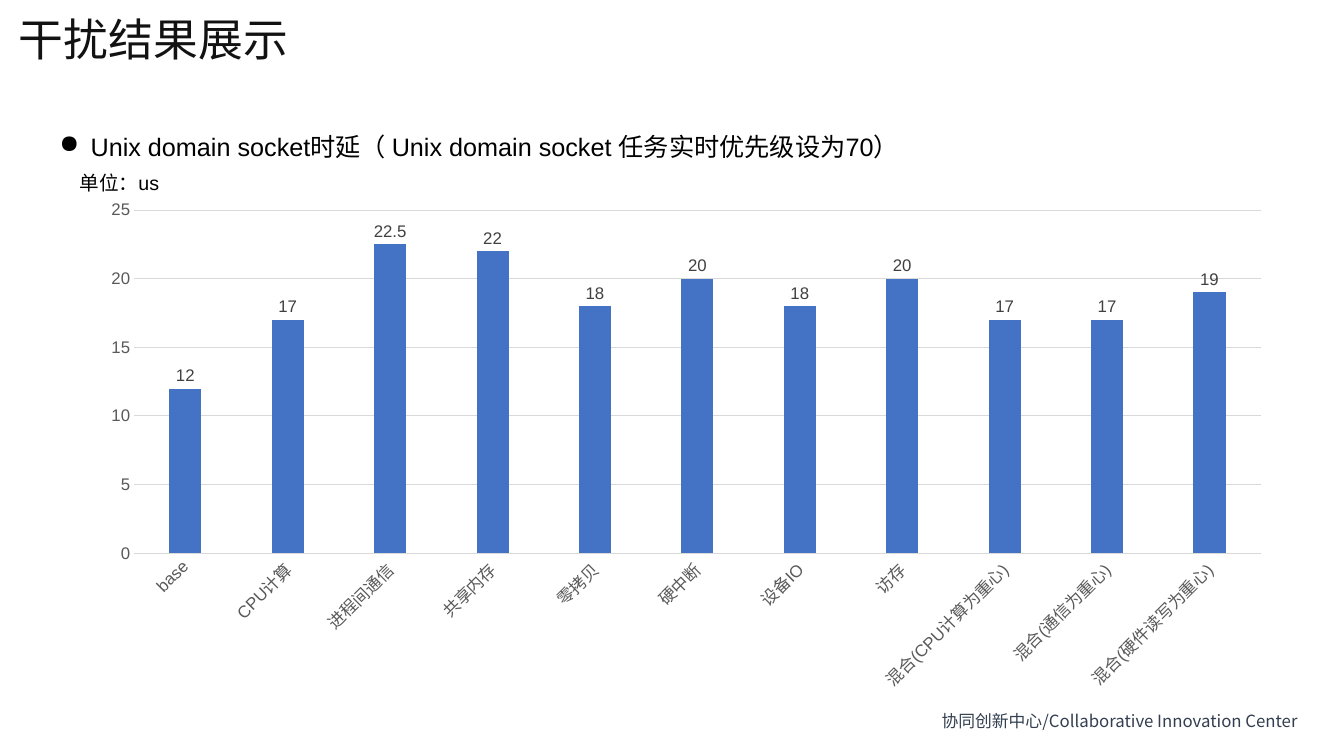
import lxml.etree
import pptx
import pptx.chart.data
import pptx.dml.color
import pptx.enum.chart
import pptx.oxml.ns
import pptx.oxml.xmlchemy
import pptx.util

Inches = pptx.util.Inches
Pt = pptx.util.Pt
qn = pptx.oxml.ns.qn

BLACK = pptx.dml.color.RGBColor(0x00, 0x00, 0x00)
TITLE_INK = pptx.dml.color.RGBColor(0x12, 0x12, 0x12)
FOOTER_SLATE = pptx.dml.color.RGBColor(0x33, 0x3F, 0x50)
BAR_BLUE = pptx.dml.color.RGBColor(0x44, 0x72, 0xC4)
AXIS_GREY = pptx.dml.color.RGBColor(0x59, 0x59, 0x59)
LABEL_GREY = pptx.dml.color.RGBColor(0x40, 0x40, 0x40)
GRID_GREY = pptx.dml.color.RGBColor(0xD9, 0xD9, 0xD9)

LATENCIES = {
    "base": 12,
    "CPU计算": 17,
    "进程间通信": 22.5,
    "共享内存": 22,
    "零拷贝": 18,
    "硬中断": 20,
    "设备IO": 18,
    "访存": 20,
    "混合(CPU计算为重心)": 17,
    "混合(通信为重心)": 17,
    "混合(硬件读写为重心)": 19,
}
PLOT_AREA = {"x": 0.053, "y": 0.019, "w": 0.925, "h": 0.685}


def style_font(font, size, color, name="Arial"):
    """Set the size, colour and typeface of a font."""
    font.size = Pt(size)
    font.color.rgb = color
    font.name = name


def add_text(slide, box, text, size, color, name="Arial", wrap=True):
    """Place one paragraph of text in the box and return the paragraph."""
    frame = slide.shapes.add_textbox(*map(Inches, box)).text_frame
    frame.word_wrap = wrap
    paragraph = frame.paragraphs[0]
    paragraph.text = text
    style_font(paragraph.font, size, color, name)
    return paragraph


def add_heading(slide, left, top, width):
    """Place the bulleted topic with the unit of measure below it."""
    topic = add_text(slide, (left, top, width, 0.4),
                     "Unix domain socket时延（ Unix domain socket 任务实时优先级设为70）", 18, BLACK)
    properties = topic._p.get_or_add_pPr()
    indent = Inches(0.31)
    properties.set("marL", str(indent))
    properties.set("indent", str(-indent))
    bullet = pptx.oxml.xmlchemy.OxmlElement("a:buChar")
    bullet.set("char", "●")
    properties.find(qn("a:defRPr")).addprevious(bullet)
    add_text(slide, (left + 0.2, top + 0.4, 1.22, 0.34), "单位：us", 14, BLACK)


def fix_plot_area(chart):
    """Pin the inner plot area to fixed fractions of the chart."""
    plot_area = chart._chartSpace.find(".//" + qn("c:plotArea"))
    layout = plot_area.find(qn("c:layout"))
    if layout is None:
        layout = pptx.oxml.xmlchemy.OxmlElement("c:layout")
        plot_area.insert(0, layout)
    manual = lxml.etree.SubElement(layout, qn("c:manualLayout"))
    settings = {"layoutTarget": "inner", "xMode": "edge", "yMode": "edge", **PLOT_AREA}
    for tag, value in settings.items():
        lxml.etree.SubElement(manual, qn("c:" + tag)).set("val", str(value))


def add_latency_chart(slide, box):
    """Place the column chart of latencies in the box."""
    data = pptx.chart.data.CategoryChartData()
    data.categories = list(LATENCIES)
    data.add_series("Series 1", list(LATENCIES.values()))
    chart = slide.shapes.add_chart(
        pptx.enum.chart.XL_CHART_TYPE.COLUMN_CLUSTERED, *map(Inches, box), data).chart
    chart.has_title = False
    chart.has_legend = False
    style_font(chart.font, 10, BLACK)
    fix_plot_area(chart)

    for axis in (chart.category_axis, chart.value_axis):
        axis.major_tick_mark = pptx.enum.chart.XL_TICK_MARK.NONE
        axis.minor_tick_mark = pptx.enum.chart.XL_TICK_MARK.NONE
        style_font(axis.tick_labels.font, 12, AXIS_GREY)
    chart.value_axis.minimum_scale = 0
    chart.value_axis.maximum_scale = 25
    chart.value_axis.major_unit = 5
    chart.value_axis.format.line.fill.background()
    for line in (chart.category_axis.format.line, chart.value_axis.major_gridlines.format.line):
        line.color.rgb = GRID_GREY
        line.width = Pt(0.75)

    bars = chart.plots[0]
    bars.vary_by_categories = False
    bars.gap_width = 219
    bars.overlap = -27
    latency = bars.series[0]
    latency.format.fill.solid()
    latency.format.fill.fore_color.rgb = BAR_BLUE
    labels = latency.data_labels
    labels.show_value = True
    labels.position = pptx.enum.chart.XL_LABEL_POSITION.OUTSIDE_END
    style_font(labels.font, 12, LABEL_GREY)


def main():
    """Build the slide and save it."""
    presentation = pptx.Presentation()
    presentation.slide_width = Inches(13.33)
    presentation.slide_height = Inches(7.5)
    slide = presentation.slides.add_slide(presentation.slide_layouts[6])
    add_text(slide, (9.24, 7, 3.84, 0.3), "协同创新中心/Collaborative Innovation Center",
             12, FOOTER_SLATE, "Noto Sans CJK SC", wrap=False)
    add_latency_chart(slide, (0.69, 1.99, 12.08, 4.97))
    add_text(slide, (0.09, 0.07, 6.23, 0.64), "干扰结果展示", 32, TITLE_INK, "Roboto")
    add_heading(slide, 0.49, 1.25, 12.08)
    presentation.save("out.pptx")


if __name__ == "__main__":
    main()
